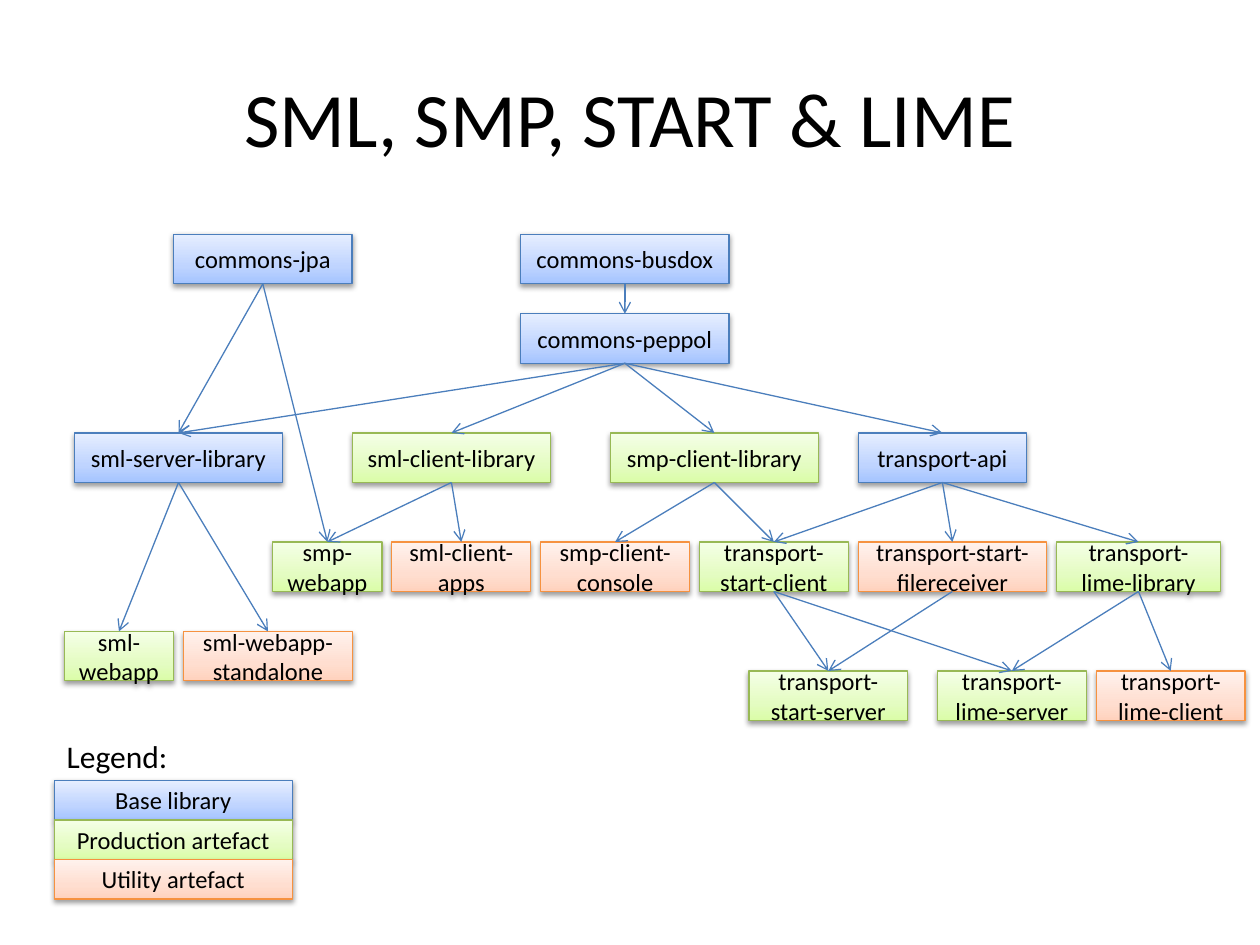
from copy import deepcopy

from lxml.etree import SubElement
from pptx import Presentation
from pptx.dml.color import RGBColor
from pptx.enum.shapes import MSO_CONNECTOR, MSO_SHAPE
from pptx.enum.text import MSO_ANCHOR, PP_ALIGN
from pptx.oxml.ns import qn
from pptx.util import Pt

FONT = "Calibri"
COLORS = {
    "text": "000000",
    "arrow": "4B7EBC",
    "shadow": "000000",
    "base": ("4B7EBC", "A4C4FF", "BFD4FF", "E6EEFF"),
    "production": ("98B955", "DAFDA7", "E4FCC2", "F5FFE7"),
    "utility": ("F69240", "FFD2BD", "FFDED0", "FFF2ED"),
}
GRADIENT_POSITIONS = (0, 0.35, 1)
MODULE_HEIGHT = 28.3
LEGEND_LEFT, LEGEND_TOP = 31, 445.9
LEGEND_WIDTH, LEGEND_ROW = 136, 22.6
BOTTOM_SITE, TOP_SITE = 2, 0

MODULE_ROWS = [
    (133.9, [
        ("commons-jpa", 99.2, 102, "base"),
        ("commons-busdox", 297.6, 119, "base"),
    ]),
    (179.3, [("commons-peppol", 297.6, 119, "base")]),
    (247.4, [
        ("sml-server-library", 42.5, 119, "base"),
        ("sml-client-library", 201.3, 113.4, "production"),
        ("smp-client-library", 348.7, 119, "production"),
        ("transport-api", 490.4, 96.3, "base"),
    ]),
    (309.7, [
        ("smp-webapp", 155.9, 62.4, "production"),
        ("sml-client-apps", 223.9, 79.4, "utility"),
        ("smp-client-console", 309, 85, "utility"),
        ("transport-start-client", 399.7, 85, "production"),
        ("transport-start-filereceiver", 490.4, 107.7, "utility"),
        ("transport-lime-library", 603.8, 93.6, "production"),
    ]),
    (360.8, [
        ("sml-webapp", 36.8, 62.4, "production"),
        ("sml-webapp-standalone", 104.9, 96.4, "utility"),
    ]),
    (383.4, [
        ("transport-start-server", 428, 90.7, "production"),
        ("transport-lime-server", 535.7, 85, "production"),
        ("transport-lime-client", 626.5, 85, "utility"),
    ]),
]
DEPENDENTS = {
    "commons-jpa": ["sml-server-library", "smp-webapp"],
    "commons-busdox": ["commons-peppol"],
    "commons-peppol": ["sml-server-library", "sml-client-library",
                       "smp-client-library", "transport-api"],
    "sml-server-library": ["sml-webapp", "sml-webapp-standalone"],
    "sml-client-library": ["smp-webapp", "sml-client-apps"],
    "smp-client-library": ["smp-client-console", "transport-start-client"],
    "transport-api": ["transport-start-client", "transport-start-filereceiver",
                      "transport-lime-library"],
    "transport-start-client": ["transport-start-server", "transport-lime-server"],
    "transport-start-filereceiver": ["transport-start-server"],
    "transport-lime-library": ["transport-lime-server", "transport-lime-client"],
}
LEGEND = [
    ("Base library", "base"),
    ("Production artefact", "production"),
    ("Utility artefact", "utility"),
]


def write_text(frame, text, size, align, anchor, wrap=True):
    frame.word_wrap = wrap
    frame.vertical_anchor = anchor
    paragraph = frame.paragraphs[0]
    paragraph.text = text
    paragraph.alignment = align
    paragraph.font.name = FONT
    paragraph.font.size = Pt(size)
    paragraph.font.color.rgb = RGBColor.from_string(COLORS["text"])


def fill_gradient(artefact, hues):
    artefact.fill.gradient()
    artefact.fill.gradient_angle = 90
    stop_list = artefact.fill.gradient_stops[0]
    stop_list = next(artefact.element.spPr.iter(qn("a:gsLst")))
    stop_list.insert(1, deepcopy(stop_list[0]))
    for stop, position, hue in zip(artefact.fill.gradient_stops,
                                   GRADIENT_POSITIONS, hues):
        stop.position = position
        stop.color.rgb = RGBColor.from_string(hue)


def drop_shadow(artefact):
    artefact.shadow.inherit = False
    effects = artefact.element.spPr.find(qn("a:effectLst"))
    shadow = SubElement(effects, qn("a:outerShdw"), blurRad=str(Pt(3.1)),
                        dist=str(Pt(1.6)), dir="5400000", rotWithShape="0")
    hue = SubElement(shadow, qn("a:srgbClr"), val=COLORS["shadow"])
    SubElement(hue, qn("a:alpha"), val="38000")


def add_artefact(slide, label, left, top, width, height, kind):
    artefact = slide.shapes.add_shape(
        MSO_SHAPE.RECTANGLE, Pt(left), Pt(top), Pt(width), Pt(height))
    outline, *hues = COLORS[kind]
    fill_gradient(artefact, hues)
    artefact.line.color.rgb = RGBColor.from_string(outline)
    artefact.line.width = Pt(0.75)
    drop_shadow(artefact)
    write_text(artefact.text_frame, label, 14, PP_ALIGN.CENTER, MSO_ANCHOR.MIDDLE)
    return artefact


def add_dependency(slide, library, dependent):
    arrow = slide.shapes.add_connector(MSO_CONNECTOR.STRAIGHT, 0, 0, 0, 0)
    arrow.begin_connect(library, BOTTOM_SITE)
    arrow.end_connect(dependent, TOP_SITE)
    arrow.line.color.rgb = RGBColor.from_string(COLORS["arrow"])
    arrow.line.width = Pt(0.75)
    properties = arrow.element.spPr
    SubElement(properties.find(qn("a:ln")), qn("a:tailEnd"), type="arrow")
    SubElement(properties, qn("a:effectLst"))


def add_label(slide, text, left, top, width, height, size, align, anchor, wrap):
    label = slide.shapes.add_textbox(Pt(left), Pt(top), Pt(width), Pt(height))
    write_text(label.text_frame, text, size, align, anchor, wrap)


def add_legend(slide):
    add_label(slide, "Legend:", LEGEND_LEFT, 417.4, 72.7, 28.8, 18,
              PP_ALIGN.LEFT, MSO_ANCHOR.TOP, False)
    for row, (label, kind) in enumerate(LEGEND):
        add_artefact(slide, label, LEGEND_LEFT, LEGEND_TOP + row * LEGEND_ROW,
                     LEGEND_WIDTH, LEGEND_ROW, kind)


def main():
    deck = Presentation()
    deck.slide_width, deck.slide_height = Pt(720), Pt(540)
    slide = deck.slides.add_slide(deck.slide_layouts[6])
    add_label(slide, "SML, SMP, START & LIME", 36, 21.6, 648, 90, 44,
              PP_ALIGN.CENTER, MSO_ANCHOR.MIDDLE, True)
    modules = {}
    for top, row in MODULE_ROWS:
        for name, left, width, kind in row:
            modules[name] = add_artefact(
                slide, name, left, top, width, MODULE_HEIGHT, kind)
    for library, dependents in DEPENDENTS.items():
        for dependent in dependents:
            add_dependency(slide, modules[library], modules[dependent])
    add_legend(slide)
    deck.save("out.pptx")


if __name__ == "__main__":
    main()
